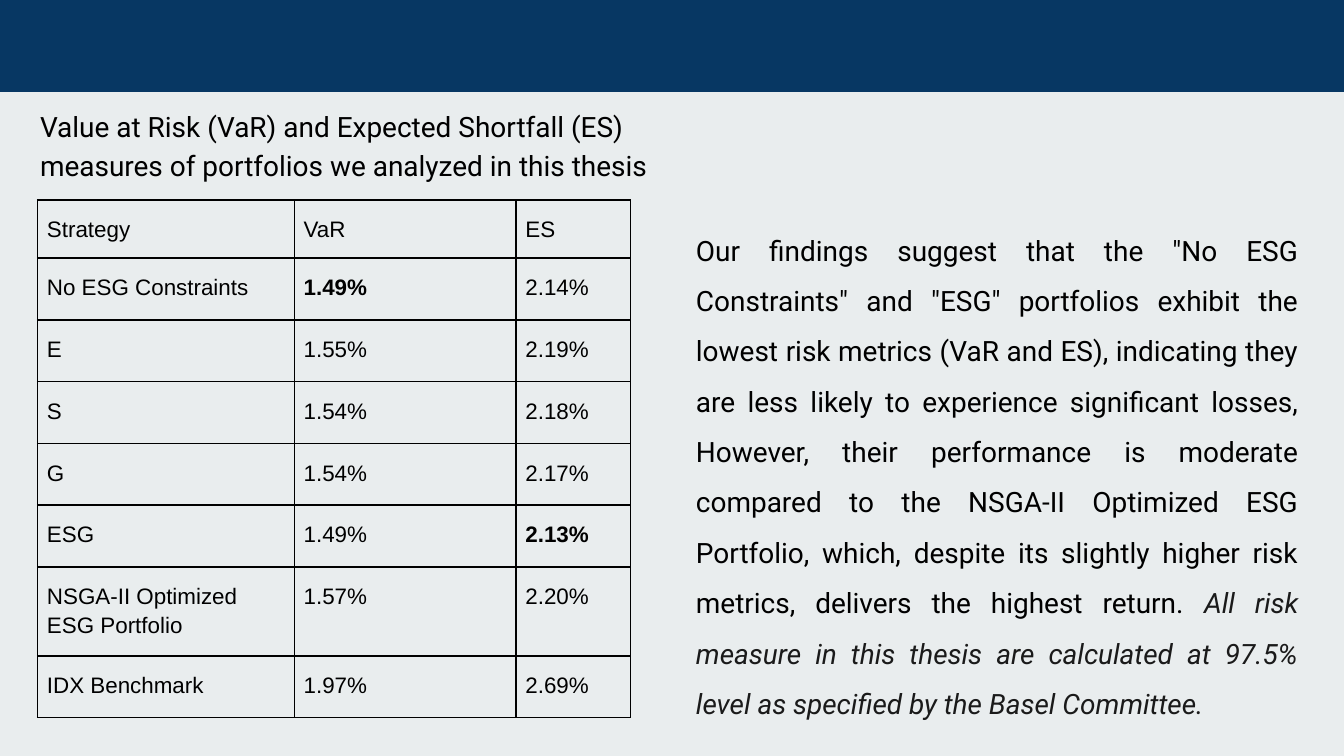
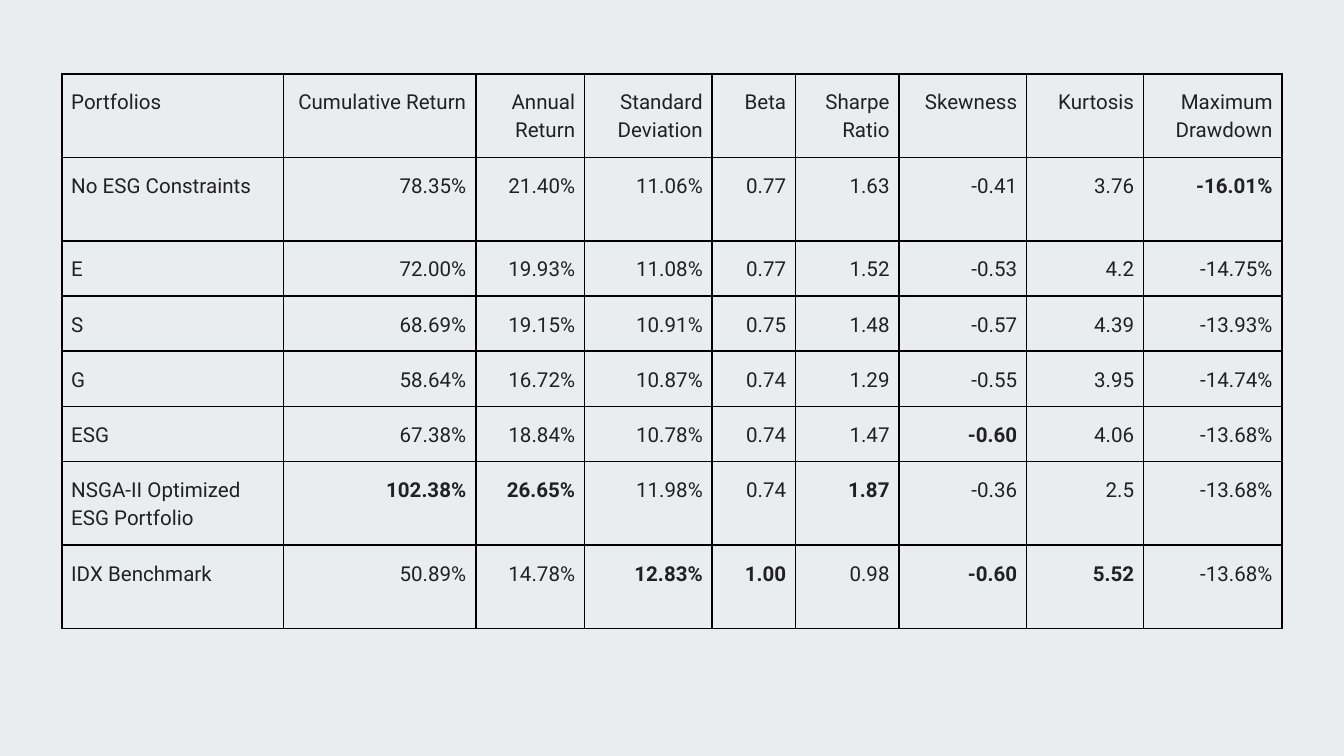
from dataclasses import dataclass

from lxml.etree import SubElement
from pptx import Presentation
from pptx.dml.color import RGBColor
from pptx.enum.shapes import MSO_SHAPE as Shape
from pptx.enum.text import MSO_AUTO_SIZE as AutoSize, PP_ALIGN as Align
from pptx.oxml.ns import qn
from pptx.util import Inches, Pt


@dataclass(frozen=True)
class Theme:
    background: str = "E9EDEE"
    band: str = "073763"
    black: str = "000000"
    note: str = "1A1A1A"
    metric: str = "212121"
    prose_font: str = "Roboto"
    risk_font: str = "Arial"
    prose_size: float = 15
    risk_size: float = 12
    metric_size: float = 11
    border_width: float = 1


THEME = Theme()

PORTFOLIOS = ["No ESG Constraints", "E", "S", "G", "ESG",
              "NSGA-II Optimized ESG Portfolio", "IDX Benchmark"]

# A leading * marks a highlighted (bold) value.
RISK_HEADER = ["Strategy", "VaR", "ES"]
RISK_VALUES = [
    ["*1.49%", "2.14%"],
    ["1.55%", "2.19%"],
    ["1.54%", "2.18%"],
    ["1.54%", "2.17%"],
    ["1.49%", "*2.13%"],
    ["1.57%", "2.20%"],
    ["1.97%", "2.69%"],
]

METRIC_HEADER = ["Portfolios", "Cumulative Return", "Annual Return",
                 "Standard Deviation", "Beta", "Sharpe Ratio", "Skewness",
                 "Kurtosis", "Maximum Drawdown"]
METRIC_VALUES = [
    ["78.35%", "21.40%", "11.06%", "0.77", "1.63", "-0.41", "3.76", "*-16.01%"],
    ["72.00%", "19.93%", "11.08%", "0.77", "1.52", "-0.53", "4.2", "-14.75%"],
    ["68.69%", "19.15%", "10.91%", "0.75", "1.48", "-0.57", "4.39", "-13.93%"],
    ["58.64%", "16.72%", "10.87%", "0.74", "1.29", "-0.55", "3.95", "-14.74%"],
    ["67.38%", "18.84%", "10.78%", "0.74", "1.47", "*-0.60", "4.06", "-13.68%"],
    ["*102.38%", "*26.65%", "11.98%", "0.74", "*1.87", "-0.36", "2.5", "-13.68%"],
    ["50.89%", "14.78%", "*12.83%", "*1.00", "0.98", "*-0.60", "*5.52", "-13.68%"],
]

CAPTION = ("Value at Risk (VaR) and Expected Shortfall (ES) "
           "measures of portfolios we analyzed in this thesis")
FINDINGS = (
    'Our findings suggest that the "No ESG Constraints" and "ESG" portfolios '
    "exhibit the lowest risk metrics (VaR and ES), indicating they are less "
    "likely to experience significant losses, However, their performance is "
    "moderate compared to the NSGA-II Optimized ESG Portfolio, which, despite "
    "its slightly higher risk metrics, delivers the highest return. ")
LEVEL_NOTE = ("All risk measure in this thesis are calculated at 97.5% level "
              "as specified by the Basel Committee.")


def rgb(value):
    return RGBColor.from_string(value)


def write(paragraph, text, *, font=THEME.prose_font, size=THEME.prose_size,
          color=THEME.black, bold=False, italic=False):
    """Append one formatted run to a paragraph."""
    run = paragraph.add_run()
    run.text = text
    run.font.name = font
    run.font.size = Pt(size)
    run.font.color.rgb = rgb(color)
    run.font.bold = bold
    run.font.italic = italic


def add_slide(deck):
    slide = deck.slides.add_slide(deck.slide_layouts[6])
    slide.background.fill.solid()
    slide.background.fill.fore_color.rgb = rgb(THEME.background)
    return slide


def add_top_band(slide, width, height):
    band = slide.shapes.add_shape(Shape.RECTANGLE, 0, 0, width, height)
    band.shadow.inherit = False
    band.fill.solid()
    band.fill.fore_color.rgb = rgb(THEME.band)
    band.line.color.rgb = rgb(THEME.band)
    band.line.width = Pt(0.75)


def add_prose(slide, box, *, line_spacing, align=Align.LEFT,
              auto_size=AutoSize.NONE):
    """Add a wrapping text box and return its paragraph."""
    frame = slide.shapes.add_textbox(*map(Inches, box)).text_frame
    frame.word_wrap = True
    frame.auto_size = auto_size
    frame.margin_left = frame.margin_right = Inches(0.1)
    frame.margin_top = frame.margin_bottom = Inches(0.1)
    paragraph = frame.paragraphs[0]
    paragraph.alignment = align
    paragraph.line_spacing = line_spacing
    paragraph.space_before = Pt(12)
    return paragraph


def border_cell(cell):
    properties = cell._tc.get_or_add_tcPr()
    for position, side in enumerate(("lnL", "lnR", "lnT", "lnB")):
        line = SubElement(properties, qn(f"a:{side}"),
                          w=str(Pt(THEME.border_width)))
        fill = SubElement(line, qn("a:solidFill"))
        SubElement(fill, qn("a:srgbClr"), val=THEME.black)
        properties.insert(position, line)


def add_grid(slide, left, top, widths, heights, header, values, *,
             value_align=Align.LEFT, **style):
    """Add a bordered table with one row per portfolio."""
    rows = [header] + [[name, *row] for name, row in zip(PORTFOLIOS, values)]
    grid = slide.shapes.add_table(
        len(rows), len(header), Inches(left), Inches(top),
        Inches(sum(widths)), Inches(sum(heights))).table
    grid.first_row = grid.horz_banding = False
    for column, width in zip(grid.columns, widths):
        column.width = Inches(width)
    for row, height in zip(grid.rows, heights):
        row.height = Inches(height)
    for r, row in enumerate(rows):
        for c, text in enumerate(row):
            cell = grid.cell(r, c)
            cell.margin_left = cell.margin_right = Inches(0.07)
            cell.margin_top = cell.margin_bottom = Inches(0.1)
            cell.fill.background()
            border_cell(cell)
            paragraph = cell.text_frame.paragraphs[0]
            paragraph.alignment = value_align if c else Align.LEFT
            paragraph.line_spacing = 1.15
            write(paragraph, text.removeprefix("*"),
                  bold=text.startswith("*"), **style)


def build_risk_slide(deck):
    slide = add_slide(deck)
    add_top_band(slide, deck.slide_width, Inches(0.68))
    add_grid(slide, 0.28, 1.49, [1.91, 1.65, 0.85],
             [0.43] + [0.46] * 5 + [0.66, 0.46], RISK_HEADER, RISK_VALUES,
             font=THEME.risk_font, size=THEME.risk_size)
    caption = add_prose(slide, (0.2, 0.68, 5.34, 1.2), line_spacing=1.15,
                        auto_size=AutoSize.SHAPE_TO_FIT_TEXT)
    write(caption, CAPTION)
    findings = add_prose(slide, (5.08, 1.51, 4.68, 3.8), line_spacing=1.5,
                         align=Align.JUSTIFY)
    write(findings, FINDINGS)
    write(findings, LEVEL_NOTE, color=THEME.note, italic=True)


def build_metrics_slide(deck):
    slide = add_slide(deck)
    add_grid(slide, 0.46, 0.55,
             [1.65, 1.43, 0.81, 0.95, 0.62, 0.77, 0.95, 0.87, 1.03],
             [0.62] * 2 + [0.41] * 4 + [0.62] * 2,
             METRIC_HEADER, METRIC_VALUES, value_align=Align.RIGHT,
             size=THEME.metric_size, color=THEME.metric)


def main():
    deck = Presentation()
    deck.slide_width = Inches(10)
    deck.slide_height = Inches(10 * 9 / 16)
    build_risk_slide(deck)
    build_metrics_slide(deck)
    deck.save("out.pptx")


if __name__ == "__main__":
    main()
